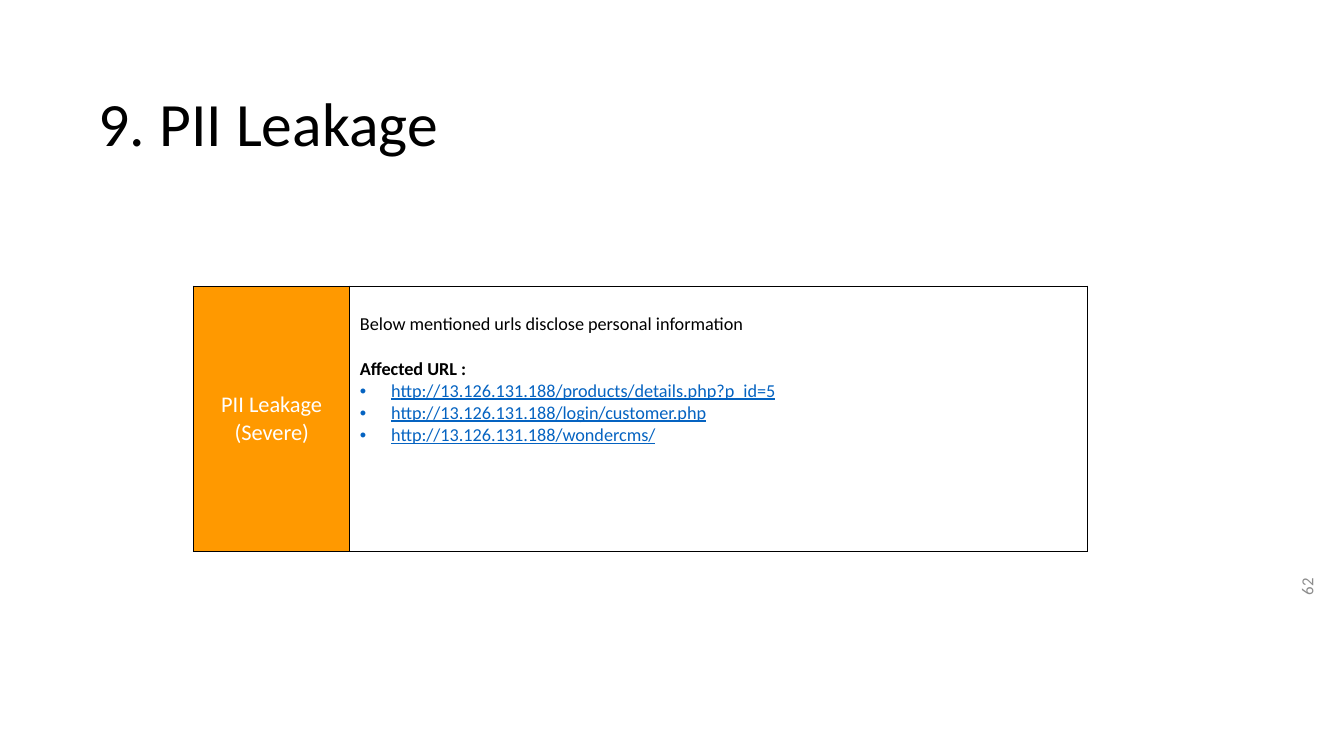
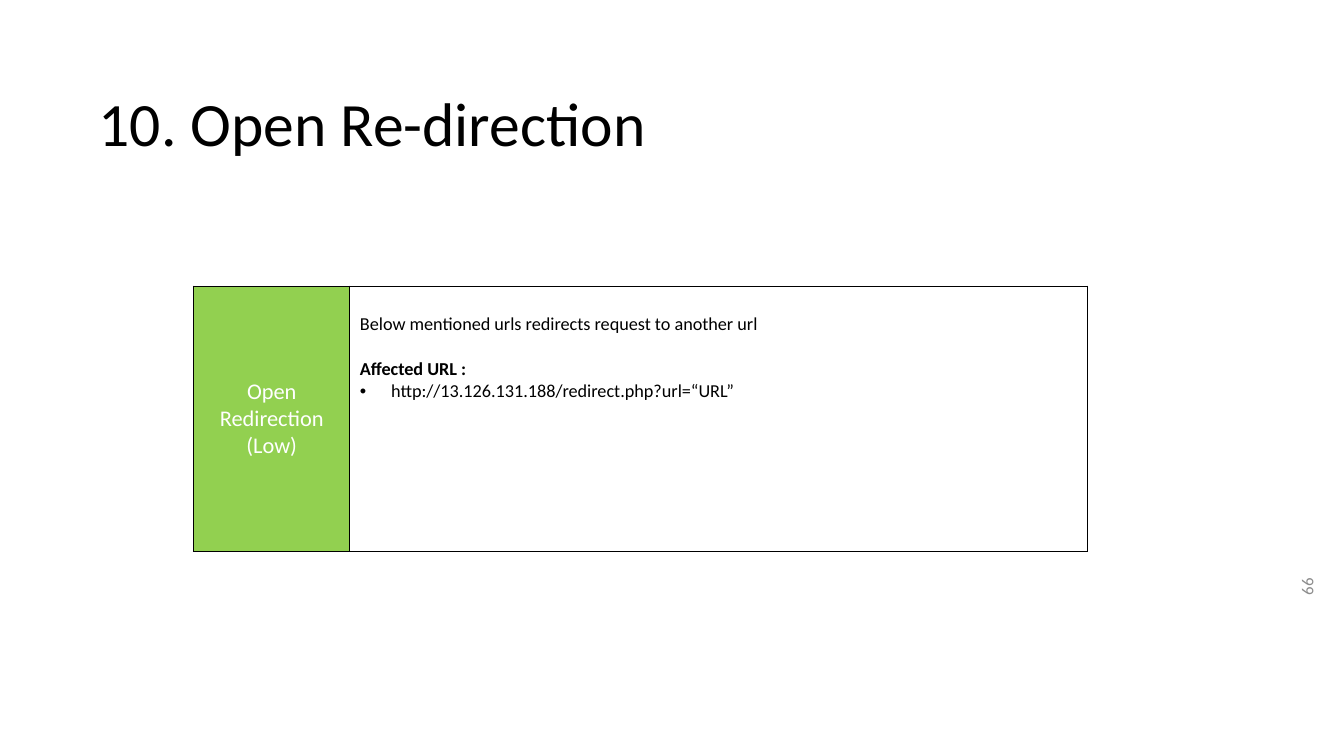
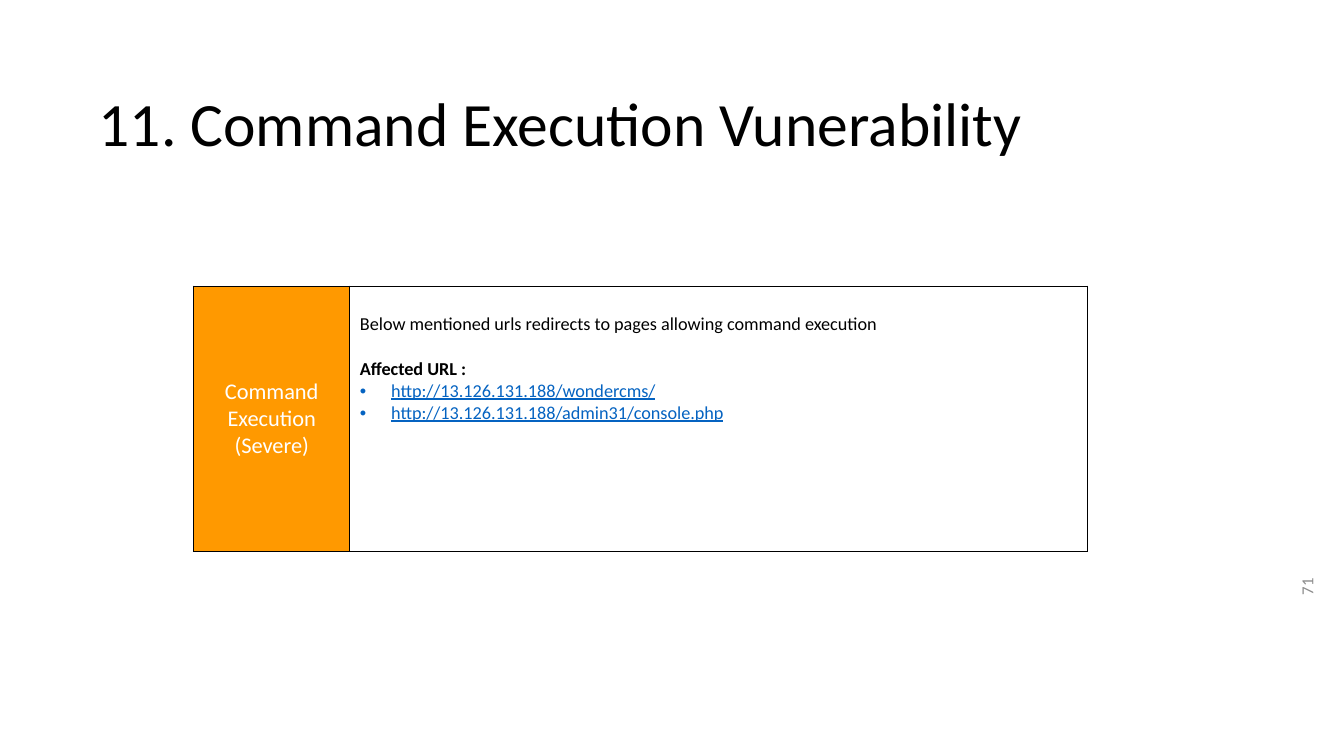
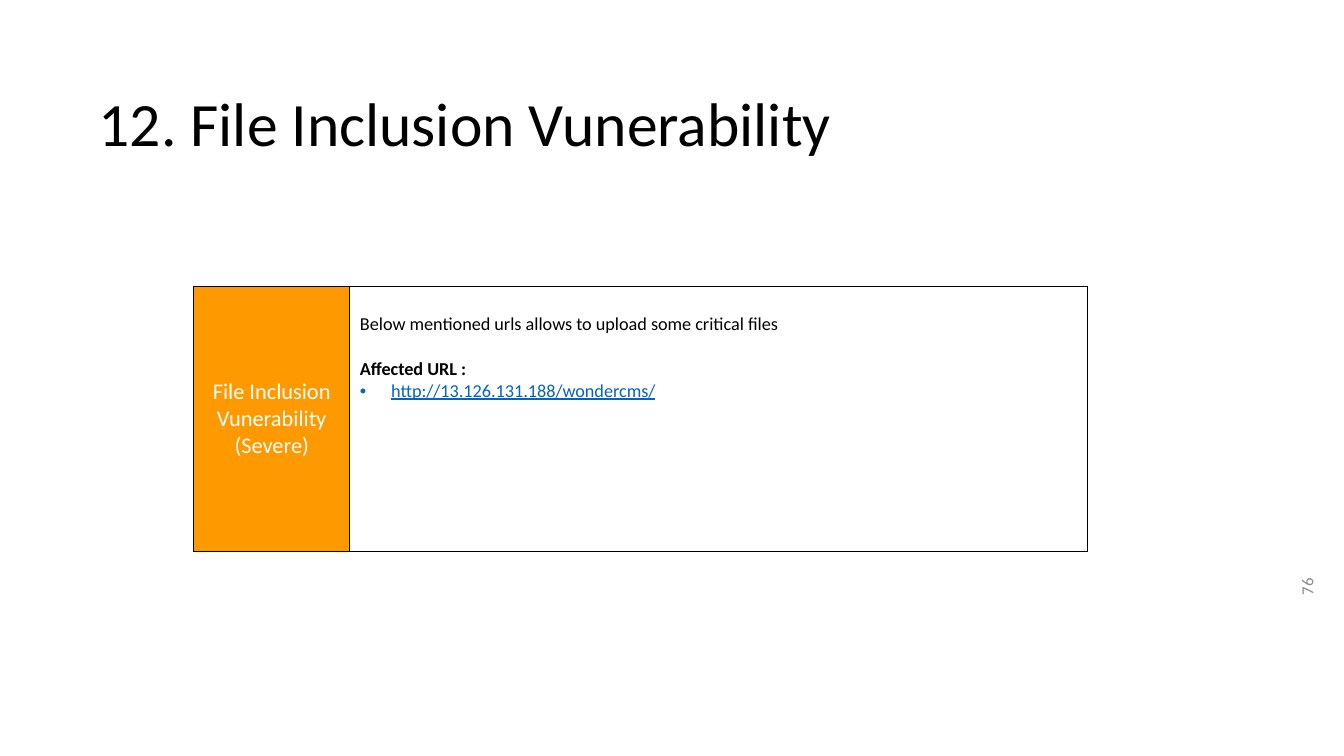
from lxml import etree
from pptx import Presentation
from pptx import util as u
from pptx.dml.color import RGBColor
from pptx.enum import text
from pptx.oxml.ns import qn

FONT = "Calibri"
BLACK, WHITE, GRAY, LINK = "000000", "FFFFFF", "8C8C8C", "0563C1"
SEVERITY_FILLS = {"Severe": "FF9900", "Low": "92D050"}
PLAIN_TABLE = "{2D5ABB26-0587-4C30-8999-92F81FD0307C}"

WIDTH, HEIGHT = 13.33, 7.5
TITLE_AREA = (0.88, 0.53, 11.5, 1.45)
NUMBER_AREA = (12.24, 6.11, 1.44, 0.5)
TABLE_LEFT, TABLE_TOP = 1.92, 2.39
COLUMNS, ROWS = (1.55, 7.32), (0.45, 2.63)
INDENT = 0.31
TEXT_TOP = 0.27
PARAGRAPH_GAP = 15.8

SITE = "http://13.126.131.188/"
FINDINGS = [
    dict(number=62, title="9. PII Leakage", name="PII Leakage", severity="Severe",
         summary="Below mentioned urls disclose personal information",
         pages=["products/details.php?p_id=5", "login/customer.php", "wondercms/"], linked=True),
    dict(number=66, title="10. Open Re-direction", name="Open Redirection", severity="Low",
         summary="Below mentioned urls redirects request to another url",
         pages=["redirect.php?url=“URL”"], linked=False),
    dict(number=71, title="11. Command Execution Vunerability", name="Command Execution", severity="Severe",
         summary="Below mentioned urls redirects to pages allowing command execution",
         pages=["wondercms/", "admin31/console.php"], linked=True),
    dict(number=76, title="12. File Inclusion Vunerability", name="File Inclusion Vunerability", severity="Severe",
         summary="Below mentioned urls allows to upload some critical files",
         pages=["wondercms/"], linked=True),
]


def color(value):
    return RGBColor.from_string(value)


def inches(values):
    return [u.Inches(value) for value in values]


def style(para, size, ink, align=text.PP_ALIGN.LEFT, bold=False, underline=False):
    para.alignment = align
    for span in para.runs:
        font = span.font
        font.name, font.size, font.bold = FONT, u.Pt(size), bold
        font.color.rgb = color(ink)
        if underline:
            font.underline = True


def add_bullet(para):
    props = para._p.get_or_add_pPr()
    props.set("marL", str(u.Inches(INDENT)))
    props.set("indent", str(-u.Inches(INDENT)))
    etree.SubElement(props, qn("a:buFont")).set("typeface", "Arial")
    etree.SubElement(props, qn("a:buChar")).set("char", "•")


def frame_cell(cell, fill):
    props = cell._tc.get_or_add_tcPr()
    for side in ("lnL", "lnR", "lnT", "lnB"):
        line = etree.SubElement(props, qn("a:" + side), w=str(u.Pt(1)))
        solid = etree.SubElement(line, qn("a:solidFill"))
        etree.SubElement(solid, qn("a:srgbClr")).set("val", BLACK)
    cell.fill.solid()
    cell.fill.fore_color.rgb = color(fill)


def place_title(layout):
    title = layout.placeholders[0]
    title.left, title.top, title.width, title.height = inches(TITLE_AREA)
    title.text_frame.vertical_anchor = text.MSO_ANCHOR.MIDDLE


def add_title(page, wording):
    page.shapes.title.text_frame.text = wording
    para = page.shapes.title.text_frame.paragraphs[0]
    para.line_spacing = 0.9
    style(para, 44, BLACK)


def add_number(page, number):
    box = page.shapes.add_textbox(*inches(NUMBER_AREA))
    box.rotation = 270
    frame = box.text_frame
    frame.word_wrap = True
    frame.vertical_anchor = text.MSO_ANCHOR.MIDDLE
    frame.text = str(number)
    style(frame.paragraphs[0], 12, GRAY, text.PP_ALIGN.RIGHT)


def fill_label(cell, finding):
    frame_cell(cell, SEVERITY_FILLS[finding["severity"]])
    cell.vertical_anchor = text.MSO_ANCHOR.MIDDLE
    cell.text_frame.text = f"{finding['name']}\n({finding['severity']})"
    for para in cell.text_frame.paragraphs:
        style(para, 16, WHITE, text.PP_ALIGN.CENTER)


def fill_details(cell, finding):
    frame_cell(cell, WHITE)
    cell.margin_top = u.Inches(TEXT_TOP)
    lines = [finding["summary"], "Affected URL :"] + [SITE + page for page in finding["pages"]]
    cell.text_frame.text = "\n".join(lines)
    summary, heading, *links = cell.text_frame.paragraphs
    style(summary, 13, BLACK)
    heading.space_before = u.Pt(PARAGRAPH_GAP)
    style(heading, 13, BLACK, bold=True)
    linked = finding["linked"]
    for para in links:
        add_bullet(para)
        style(para, 13, LINK if linked else BLACK, underline=linked)


def add_finding(page, finding):
    area = inches((TABLE_LEFT, TABLE_TOP, sum(COLUMNS), sum(ROWS)))
    table = page.shapes.add_table(len(ROWS), len(COLUMNS), *area).table
    table.first_row = table.horz_banding = False
    table._tbl.tblPr.find(qn("a:tableStyleId")).text = PLAIN_TABLE
    for column, width in zip(table.columns, inches(COLUMNS)):
        column.width = width
    for row, height in zip(table.rows, inches(ROWS)):
        row.height = height
    for cell in table.rows[0].cells:
        cell.fill.background()
    fill_label(table.cell(1, 0), finding)
    fill_details(table.cell(1, 1), finding)


def main():
    deck = Presentation()
    deck.slide_width, deck.slide_height = inches((WIDTH, HEIGHT))
    layout = deck.slide_layouts[5]
    place_title(layout)
    for finding in FINDINGS:
        page = deck.slides.add_slide(layout)
        add_number(page, finding["number"])
        add_title(page, finding["title"])
        add_finding(page, finding)
    deck.save("out.pptx")


if __name__ == "__main__":
    main()
